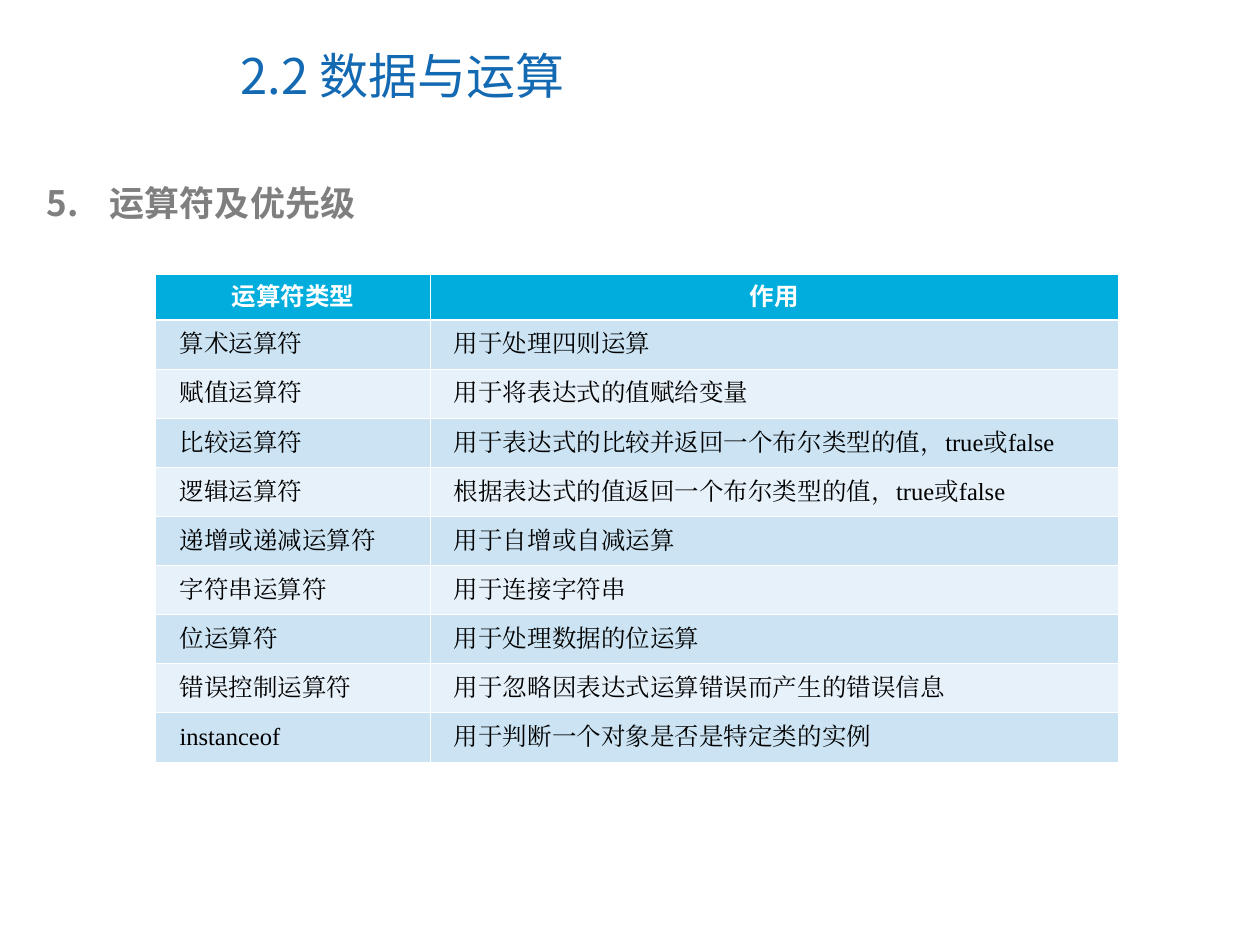
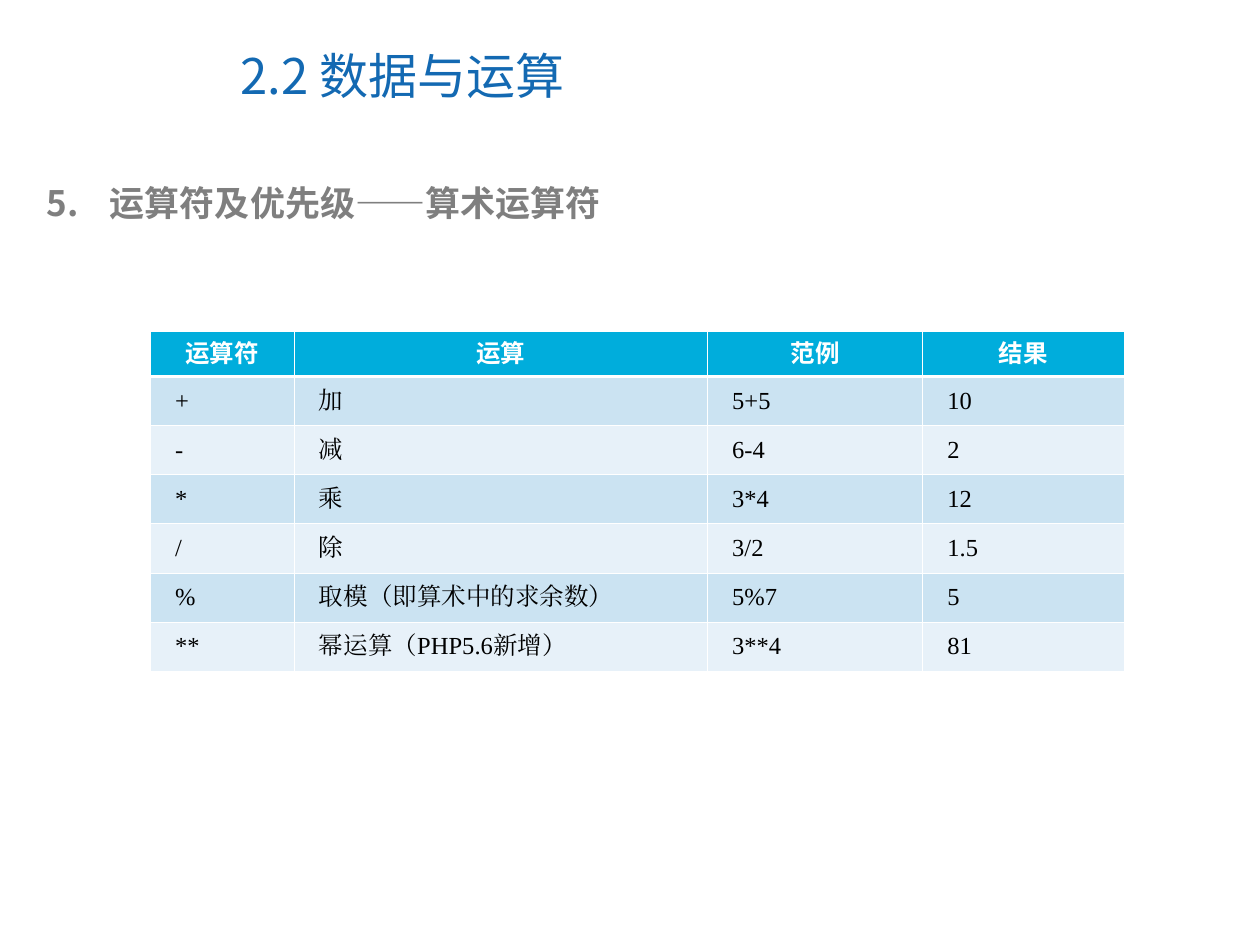
from dataclasses import dataclass

from lxml.etree import SubElement
from pptx import Presentation
from pptx.dml.color import RGBColor
from pptx.enum.text import MSO_ANCHOR as Anchor, MSO_AUTO_SIZE as AutoSize, PP_ALIGN as Align
from pptx.oxml.ns import qn
from pptx.util import Cm, Pt


@dataclass(frozen=True)
class Theme:
    title: tuple = ("Noto Sans CJK SC", 28, "1369B2", False)
    heading: tuple = ("Noto Sans CJK SC", 20, "7F7F7F", True)
    header_cell: tuple = ("Arial", 14, "FFFFFF", True)
    body_cell: tuple = ("Times New Roman", 14, "000000", False)
    header_fill: str = "00ADDC"
    band_fills: tuple = ("E7F1F9", "CBE3F2")
    border: str = "FFFFFF"
    thin: float = 0.45
    thick: float = 1.47


theme = Theme()


def style_paragraph(paragraph, style, alignment):
    name, size, color, bold = style
    paragraph.alignment = alignment
    font = paragraph.font
    font.name, font.size, font.bold = name, Pt(size), bold
    font.color.rgb = RGBColor.from_string(color)
    SubElement(paragraph._p.pPr.find(qn("a:defRPr")), qn("a:ea"), typeface=name)


def style_cell(cell, row_index, inset):
    is_header = row_index == 0
    properties = cell._tc.get_or_add_tcPr()
    for side in "LRTB":
        under_header = (side == "B" and row_index == 0) or (side == "T" and row_index == 1)
        width = Pt(theme.thick if under_header else theme.thin)
        line = SubElement(properties, qn(f"a:ln{side}"), w=str(int(width)))
        SubElement(SubElement(line, qn("a:solidFill")), qn("a:srgbClr"), val=theme.border)
    cell.fill.solid()
    fill = theme.header_fill if is_header else theme.band_fills[row_index % 2]
    cell.fill.fore_color.rgb = RGBColor.from_string(fill)
    cell.vertical_anchor = Anchor.MIDDLE
    cell.margin_left = cell.margin_right = Cm(inset)
    cell.margin_top = cell.margin_bottom = Cm(0.13)
    paragraph = cell.text_frame.paragraphs[0]
    if is_header:
        style_paragraph(paragraph, theme.header_cell, Align.CENTER)
    else:
        paragraph._p.get_or_add_pPr().set("marL", str(int(Cm(0.3))))
        style_paragraph(paragraph, theme.body_cell, Align.JUSTIFY)


operator_types = [
    ("运算符类型", "作用"),
    ("算术运算符", "用于处理四则运算"),
    ("赋值运算符", "用于将表达式的值赋给变量"),
    ("比较运算符", "用于表达式的比较并返回一个布尔类型的值，true或false"),
    ("逻辑运算符", "根据表达式的值返回一个布尔类型的值，true或false"),
    ("递增或递减运算符", "用于自增或自减运算"),
    ("字符串运算符", "用于连接字符串"),
    ("位运算符", "用于处理数据的位运算"),
    ("错误控制运算符", "用于忽略因表达式运算错误而产生的错误信息"),
    ("instanceof", "用于判断一个对象是否是特定类的实例"),
]
arithmetic_operators = [
    ("运算符", "运算", "范例", "结果"),
    ("+", "加", "5+5", "10"),
    ("-", "减", "6-4", "2"),
    ("*", "乘", "3*4", "12"),
    ("/", "除", "3/2", "1.5"),
    ("%", "取模（即算术中的求余数）", "5%7", "5"),
    ("**", "幂运算（PHP5.6新增）", "3**4", "81"),
]
pages = [
    ("运算符及优先级", operator_types, (3.14, 5.54), (5.53, 13.87), 0.18),
    ("运算符及优先级——算术运算符", arithmetic_operators, (3.03, 6.68), (2.9, 8.33, 4.34, 4.06), 0.2),
]

presentation = Presentation()
presentation.slide_width = Cm(25.4)
presentation.slide_height = Cm(19.05)

for heading_text, rows, (left, top), column_widths, inset in pages:
    slide = presentation.slides.add_slide(presentation.slide_layouts[1])

    title = slide.shapes.title
    title.left, title.top, title.width, title.height = Cm(4.6), Cm(0.43), Cm(13.1), Cm(2.16)
    title.text_frame.text = "2.2 数据与运算"
    title.text_frame.vertical_anchor = Anchor.MIDDLE
    title.text_frame.auto_size = AutoSize.NONE
    style_paragraph(title.text_frame.paragraphs[0], theme.title, Align.LEFT)

    heading = slide.placeholders[1]
    heading.left, heading.top, heading.width, heading.height = Cm(0.69), Cm(3.53), Cm(23.42), Cm(1.12)
    heading.text_frame.text = heading_text
    heading.text_frame.auto_size = AutoSize.NONE
    paragraph = heading.text_frame.paragraphs[0]
    paragraph.space_before = Pt(0)
    properties = paragraph._p.get_or_add_pPr()
    properties.set("marL", str(int(Cm(1.27))))
    properties.set("indent", str(int(Cm(-1.27))))
    SubElement(SubElement(properties, qn("a:buClr")), qn("a:srgbClr"), val=theme.heading[2])
    SubElement(properties, qn("a:buFont"), typeface=theme.heading[0])
    SubElement(properties, qn("a:buAutoNum"), type="arabicPeriod", startAt="5")
    style_paragraph(paragraph, theme.heading, Align.LEFT)

    row_heights = [0.91] + [0.99] * (len(rows) - 1)
    table = slide.shapes.add_table(
        len(rows), len(column_widths), Cm(left), Cm(top), Cm(sum(column_widths)), Cm(sum(row_heights))
    ).table
    table.horz_banding = False
    for column, width in zip(table.columns, column_widths):
        column.width = Cm(width)
    for row_index, (values, height) in enumerate(zip(rows, row_heights)):
        table.rows[row_index].height = Cm(height)
        for cell, value in zip(table.rows[row_index].cells, values):
            cell.text = value
            style_cell(cell, row_index, inset)

presentation.save("out.pptx")
